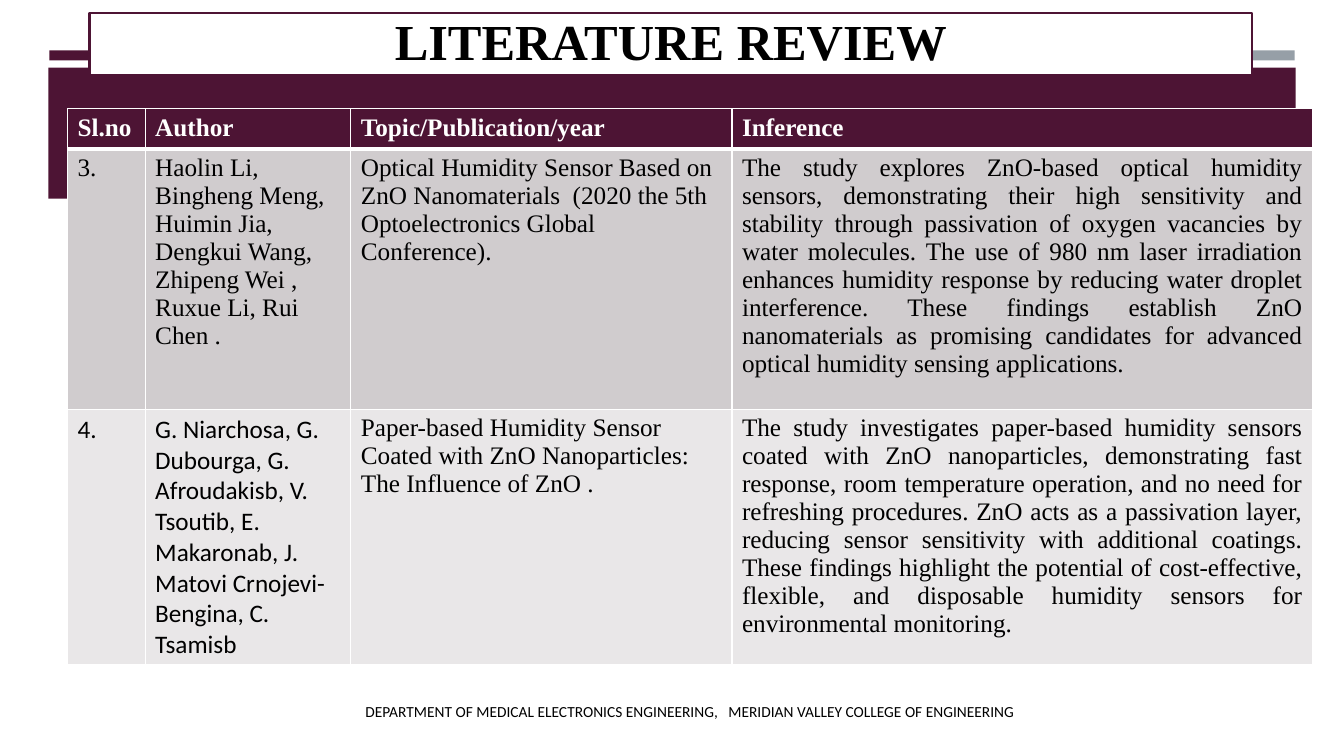
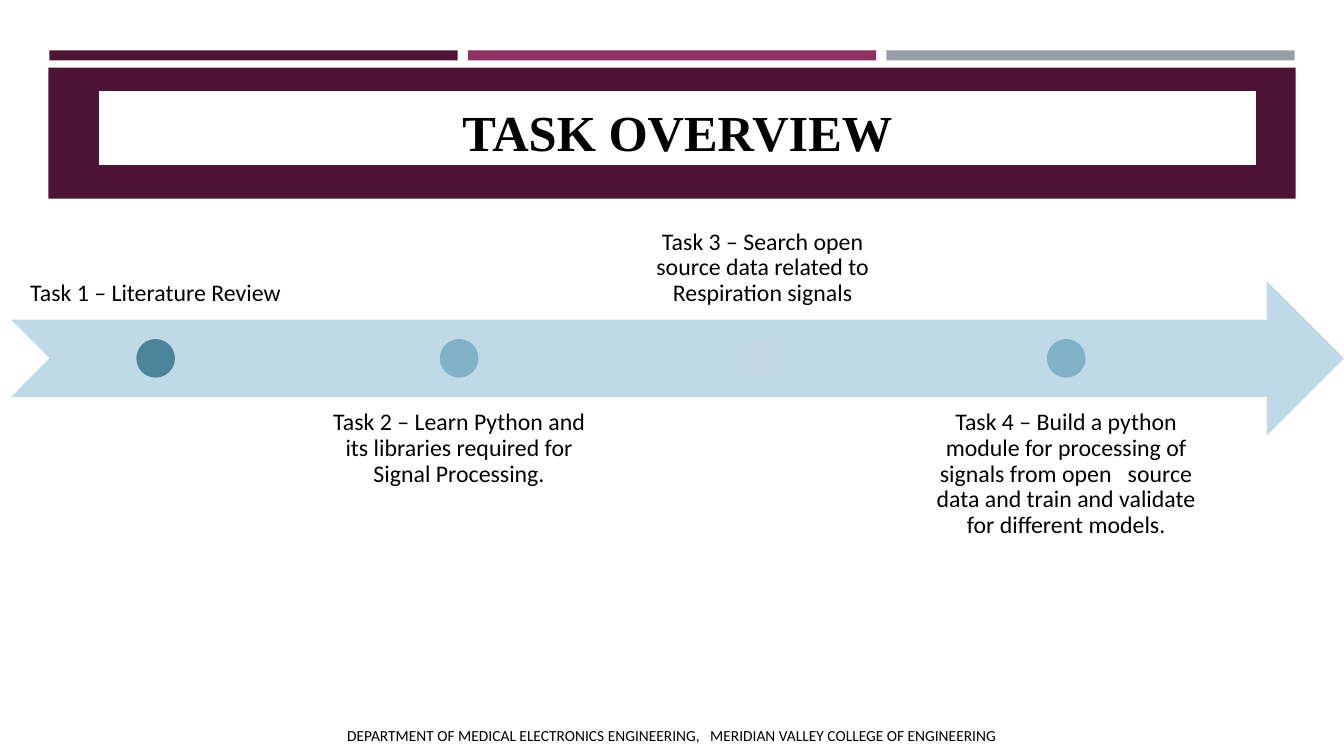
from lxml.etree import SubElement
from pptx import Presentation
from pptx.dml.color import RGBColor
from pptx.enum.shapes import MSO_SHAPE as SHAPE
from pptx.enum.text import MSO_ANCHOR as ANCHOR, PP_ALIGN as ALIGN
from pptx.oxml.ns import qn
from pptx.util import Inches, Pt

SLIDE_W, SLIDE_H = 13.33, 7.5
PLUM, MAGENTA, GREY = "4D1434", "903163", "969FA7"
WHITE, BLACK = "FFFFFF", "000000"
ROW_FILLS = ["D0CCCE", "E9E7E8"]
ARROW_FILL = "BFD9E6"
DOT_FILLS = ["4B8398", "80B1C6", "C3DAE6", "80B1C6"]
SERIF, SANS = "Times New Roman", "Calibri"
FOOTER = ("DEPARTMENT OF MEDICAL ELECTRONICS ENGINEERING,   "
          "MERIDIAN VALLEY COLLEGE OF ENGINEERING")

COLUMNS = [0.77, 2.04, 3.78, 5.76]
ROWS = [0.37, 2.58, 2.53]
HEADINGS = ["Sl.no", "Author", "Topic/Publication/year", "Inference"]
PAPERS = [
    ["3.",
     "Haolin Li, Bingheng Meng, Huimin Jia, Dengkui Wang, Zhipeng Wei , "
     "Ruxue Li, Rui Chen .",
     "Optical Humidity Sensor Based on ZnO Nanomaterials  (2020 the 5th "
     "Optoelectronics Global Conference).",
     "The study explores ZnO-based optical humidity sensors, demonstrating "
     "their high sensitivity and stability through passivation of oxygen "
     "vacancies by water molecules. The use of 980 nm laser irradiation "
     "enhances humidity response by reducing water droplet interference. "
     "These findings establish ZnO nanomaterials as promising candidates for "
     "advanced optical humidity sensing applications."],
    ["4.",
     "G. Niarchosa, G. Dubourga, G. Afroudakisb, V. Tsoutib, E. Makaronab, "
     "J. Matovi Crnojevi-Bengina, C. Tsamisb",
     "Paper-based Humidity Sensor Coated with ZnO Nanoparticles: "
     "The Influence of ZnO .",
     "The study investigates paper-based humidity sensors coated with ZnO "
     "nanoparticles, demonstrating fast response, room temperature operation, "
     "and no need for refreshing procedures. ZnO acts as a passivation layer, "
     "reducing sensor sensitivity with additional coatings. These findings "
     "highlight the potential of cost-effective, flexible, and disposable "
     "humidity sensors for environmental monitoring."],
]
PAPER_FONTS = [[SERIF] * 4, [SANS, SANS, SERIF, SERIF]]
TASKS = [
    "Task 1 – Literature Review",
    "Task 2 – Learn Python and its libraries required for Signal Processing.",
    "Task 3 – Search open source data related to Respiration signals",
    "Task 4 – Build a python module for processing of signals from open   "
    "source data and train and validate for different models.",
]


def rgb(color):
    return RGBColor.from_string(color)


def add_text(tf, text, size, font, color=BLACK, bold=False, align=ALIGN.CENTER):
    p = tf.paragraphs[0]
    p.alignment = align
    r = p.add_run()
    r.text = text
    r.font.size, r.font.name, r.font.bold = Pt(size), font, bold
    r.font.color.rgb = rgb(color)
    return p


def add_block(s, kind, box, fill, line=None):
    sp = s.shapes.add_shape(kind, *map(Inches, box))
    sp.shadow.inherit = False
    sp.fill.solid()
    sp.fill.fore_color.rgb = rgb(fill)
    if line:
        sp.line.color.rgb = rgb(line)
        sp.line.width = Pt(1.75)
    else:
        sp.line.fill.background()
    return sp


def add_textbox(s, box, anchor, inset=None):
    tf = s.shapes.add_textbox(*map(Inches, box)).text_frame
    tf.word_wrap = True
    tf.vertical_anchor = anchor
    if inset is not None:
        tf.margin_left = tf.margin_right = Inches(inset)
        tf.margin_top = tf.margin_bottom = Inches(inset)
    return tf


def add_frame(prs, title, title_box, footer_at, strips):
    """Add a slide with the strips, band, title and footer that all share."""
    s = prs.slides.add_slide(prs.slide_layouts[6])
    # Strips above the band, at equal steps
    for i, color in strips:
        add_block(s, SHAPE.RECTANGLE, (0.49 + i * 4.15, 0.5, 4.05, 0.1), color)
    add_block(s, SHAPE.RECTANGLE, (0.48, 0.67, 12.37, 1.3), PLUM)
    # Title
    tf = add_block(s, SHAPE.RECTANGLE, title_box, WHITE, PLUM).text_frame
    tf.word_wrap = True
    tf.vertical_anchor = ANCHOR.BOTTOM
    add_text(tf, title, 36, SERIF, bold=True)
    # Footer
    tf = add_textbox(s, (*footer_at, 10.29, 0.4), ANCHOR.MIDDLE)
    add_text(tf, FOOTER, 11, SANS)
    return s


def set_borders(cell, bottom=1):
    """Draw white cell borders; they must precede the fill in the XML."""
    tc_pr = cell._tc.get_or_add_tcPr()
    for side, width in (("L", 1), ("R", 1), ("T", 1), ("B", bottom)):
        ln = SubElement(tc_pr, qn(f"a:ln{side}"), w=str(Pt(width)))
        fill = SubElement(ln, qn("a:solidFill"))
        SubElement(fill, qn("a:srgbClr"), val=WHITE)


def add_papers(s, left, top):
    box = map(Inches, (left, top, sum(COLUMNS), sum(ROWS)))
    table = s.shapes.add_table(len(ROWS), len(COLUMNS), *box).table
    table.horz_banding = False
    for column, width in zip(table.columns, COLUMNS):
        column.width = Inches(width)
    for row, height in zip(table.rows, ROWS):
        row.height = Inches(height)

    def fill_cell(i, j, text, font, fill, header=False):
        cell = table.cell(i, j)
        # A border shared by two rows is set from both sides
        set_borders(cell, 3 if header else 1)
        if i == 1:
            cell._tc.tcPr.find(qn("a:lnT")).set("w", str(Pt(3)))
        cell.fill.solid()
        cell.fill.fore_color.rgb = rgb(fill)
        justified = j == len(COLUMNS) - 1 and not header
        add_text(cell.text_frame, text, 18, font, WHITE if header else BLACK,
                 header, ALIGN.JUSTIFY if justified else ALIGN.LEFT)

    for j, heading in enumerate(HEADINGS):
        fill_cell(0, j, heading, SERIF, PLUM, header=True)
    for i, (paper, fonts, fill) in enumerate(zip(PAPERS, PAPER_FONTS, ROW_FILLS), 1):
        for j, (text, font) in enumerate(zip(paper, fonts)):
            fill_cell(i, j, text, font, fill)


def add_timeline(s, left, top, width, height):
    """Arrow across the box, with tasks in turn above and below it."""
    row = 0.4 * height
    add_block(s, SHAPE.NOTCHED_RIGHT_ARROW,
              (left, top + 0.3 * height, width, row), ARROW_FILL)
    # Columns take 90% of the width, with gaps of 5% of a column
    n = len(TASKS)
    col = 0.9 * width / (n + 0.05 * (n - 1))
    dot = 0.1 * height
    for i, (task, color) in enumerate(zip(TASKS, DOT_FILLS)):
        x = left + i * 1.05 * col
        below = i % 2 == 1
        y = top + 0.6 * height if below else top
        tf = add_textbox(s, (x, y, col, row),
                         ANCHOR.TOP if below else ANCHOR.BOTTOM, 0.13)
        add_text(tf, task, 17, SANS).line_spacing = 0.9
        add_block(s, SHAPE.OVAL,
                  (x + (col - dot) / 2, top + 0.45 * height, dot, dot), color)


def main():
    prs = Presentation()
    prs.slide_width, prs.slide_height = Inches(SLIDE_W), Inches(SLIDE_H)

    # Literature review: the wide title takes the place of the middle strip
    s = add_frame(prs, "LITERATURE REVIEW", (0.89, 0.13, 11.53, 0.62),
                  (1.7, 6.86), [(0, PLUM), (2, GREY)])
    add_papers(s, 0.67, 1.08)

    # Task overview
    s = add_frame(prs, "TASK OVERVIEW", (0.97, 0.89, 11.5, 0.76),
                  (1.52, 7.1), [(0, PLUM), (1, MAGENTA), (2, GREY)])
    add_timeline(s, 0.11, 1.64, SLIDE_W - 0.11, 3.83)

    prs.save("out.pptx")


if __name__ == "__main__":
    main()
